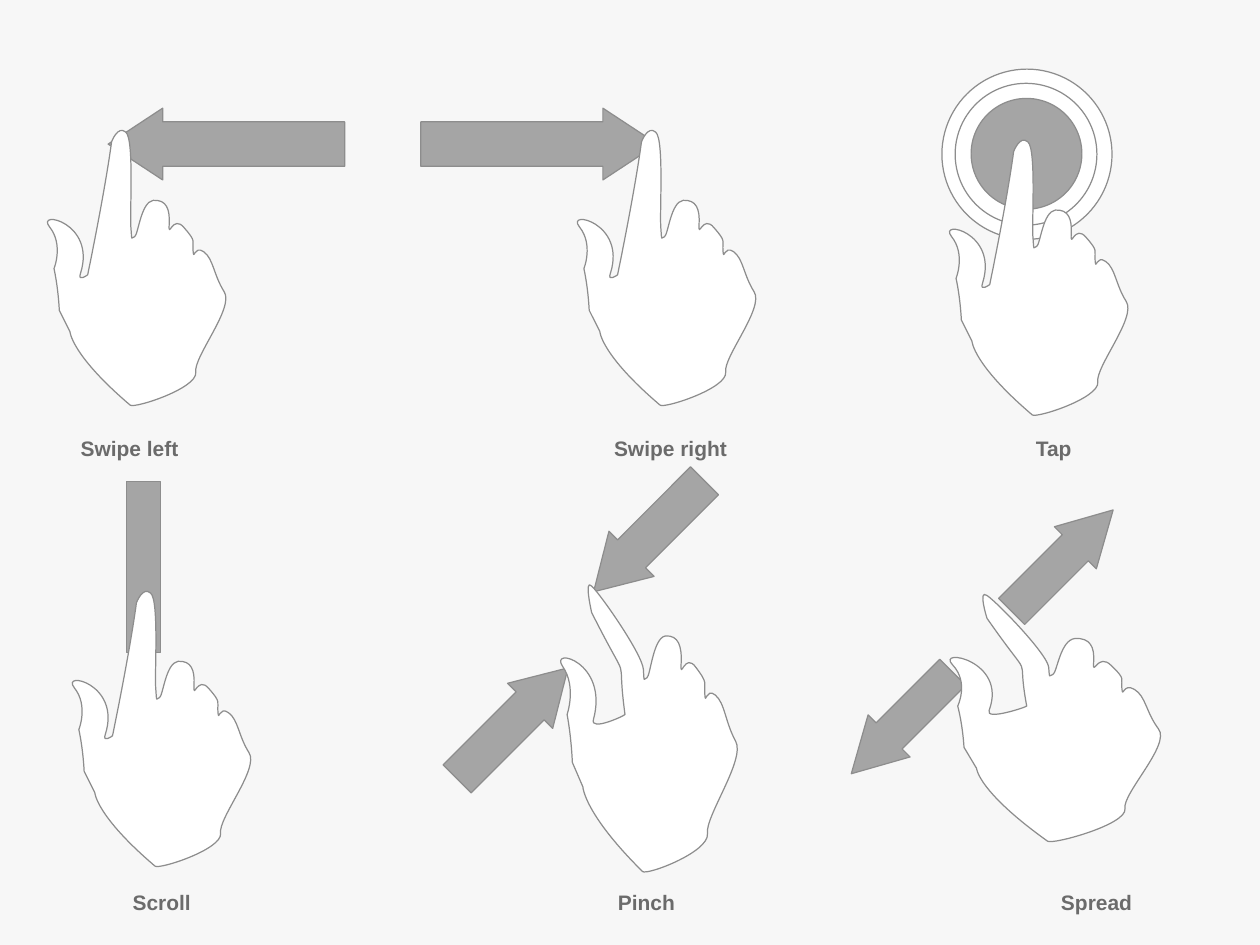
from lxml.etree import Element
from pptx import Presentation
from pptx.dml.color import RGBColor
from pptx.enum.shapes import MSO_SHAPE as Preset
from pptx.enum.text import MSO_ANCHOR as Anchor, PP_ALIGN as Align
from pptx.oxml.ns import qn
from pptx.util import Inches, Pt

BACKGROUND = RGBColor(0xF7, 0xF7, 0xF7)
WHITE = RGBColor(0xFF, 0xFF, 0xFF)
GREY = RGBColor(0xA5, 0xA5, 0xA5)
OUTLINE = RGBColor(0x8D, 0x8D, 0x8D)
LABEL = RGBColor(0x6B, 0x6B, 0x6B)

# Bezier segments (two controls and an end), in inches from the wrist point
THUMB = [
    [(0, 0), (-.01, -.24), (-.06, -.47)],
    [(-.06, -.47), (.05, -.74), (-.11, -.94)],
    [(-.27, -1.14), (.42, -.99), (.24, -.42)],
]
STRAIGHT_FINGER = [
    [(.20, -.31), (.32, -.40), (.32, -.40)],
    [(.32, -.40), (.51, -1.31), (.59, -1.90)],
    [(.59, -1.90), (.66, -2.09), (.75, -2.01)],
    [(.85, -1.93), (.79, -1.06), (.81, -.91)],
]
BENT_FINGER = [
    [(.20, -.30), (.60, -.46), (.60, -.47)],
    [(.49, -1.17), (.70, -.65), (.22, -1.47)],
    [(.22, -1.47), (.13, -1.81), (.22, -1.73)],
    [(.32, -1.65), (.80, -1.06), (.81, -.91)],
]
KNUCKLES_AND_PALM = [
    [(.82, -.77), (.81, -.82), (.85, -.83)],
    [(.89, -.85), (.92, -1.22), (1.06, -1.24)],
    [(1.21, -1.25), (1.25, -1.14), (1.24, -.97)],
    [(1.23, -.79), (1.28, -1.09), (1.41, -.93)],
    [(1.55, -.77), (1.50, -.79), (1.51, -.67)],
    [(1.52, -.55), (1.52, -.74), (1.63, -.66)],
    [(1.74, -.58), (1.74, -.40), (1.86, -.21)],
    [(1.98, -.03), (1.51, .53), (1.54, .70)],
    [(1.56, .88), (.85, 1.11), (.80, 1.07)],
    [(.13, .50), (.12, .24), (.12, .24)],
]


def bend_sides(shape, segments):
    """Turn each straight side of a freeform into its Bezier curve."""
    sides = list(shape.element.iter(qn("a:lnTo")))
    for side, (first, second, _) in zip(sides, segments):
        side.tag = qn("a:cubicBezTo")
        for index, (x, y) in enumerate((first, second)):
            side.insert(index, Element(qn("a:pt"), x=str(x - shape.left),
                                       y=str(y - shape.top)))


class GestureSlide:
    font_style = {"name": "Arial", "size": Pt(17), "bold": True}
    frame_style = {"margin_left": 0, "margin_right": 0, "margin_top": 0,
                   "margin_bottom": 0, "vertical_anchor": Anchor.MIDDLE,
                   "word_wrap": True}

    def __init__(self, presentation):
        self.slide = presentation.slides.add_slide(presentation.slide_layouts[6])
        background = self.slide.background.fill
        background.solid()
        background.fore_color.rgb = BACKGROUND

    def paint(self, shape, color):
        shape.shadow.inherit = False
        shape.fill.solid()
        shape.fill.fore_color.rgb = color
        shape.line.color.rgb = OUTLINE
        shape.line.width = Pt(1)

    def preset(self, kind, box, color=GREY):
        shape = self.slide.shapes.add_shape(kind, *map(Inches, box))
        self.paint(shape, color)
        return shape

    def arrow(self, box, rotation, head):
        shape = self.preset(Preset.RIGHT_ARROW, box)
        shape.rotation = rotation
        shape.adjustments[0] = 0.62
        shape.adjustments[1] = head

    def hand(self, wrist, finger=STRAIGHT_FINGER, stretch=(1, 1)):
        segments = [
            [tuple(Inches(origin + scale * offset) for origin, scale, offset
                   in zip(wrist, stretch, point)) for point in segment]
            for segment in THUMB + finger + KNUCKLES_AND_PALM]
        builder = self.slide.shapes.build_freeform(*map(Inches, wrist))
        builder.add_line_segments([segment[-1] for segment in segments], close=True)
        shape = builder.convert_to_shape()
        bend_sides(shape, segments)
        self.paint(shape, WHITE)

    def label(self, text, left, top, width, align):
        box = self.slide.shapes.add_textbox(
            *map(Inches, (left, top, width, 0.4)))
        for name, value in self.frame_style.items():
            setattr(box.text_frame, name, value)
        paragraph = box.text_frame.paragraphs[0]
        paragraph.alignment = align
        run = paragraph.add_run()
        run.text = text
        for name, value in self.font_style.items():
            setattr(run.font, name, value)
        run.font.color.rgb = LABEL


def main():
    presentation = Presentation()
    presentation.slide_width = Inches(14.22)
    presentation.slide_height = Inches(10.66)
    gestures = GestureSlide(presentation)

    # Tap
    for left, top, size, color in ((10.63, 0.78, 1.92, WHITE),
                                   (10.78, 0.94, 1.6, WHITE),
                                   (10.96, 1.11, 1.25, GREY)):
        gestures.preset(Preset.OVAL, (left, top, size, size), color)
    gestures.hand((10.85, 3.61))

    # Scroll
    gestures.preset(Preset.RECTANGLE, (1.43, 5.43, 0.38, 1.93))
    gestures.hand((0.95, 8.7))

    # Swipe left and right
    for arrow_left, rotation, wrist in ((1.22, 180, 0.67), (4.75, 0, 6.65)):
        gestures.arrow((arrow_left, 1.22, 2.67, 0.81), rotation, 0.76)
        gestures.hand((wrist, 3.5))

    # Pinch
    gestures.arrow((4.9, 7.8, 1.77, 0.72), 315, 0.84)
    gestures.arrow((6.44, 5.69, 1.77, 0.72), 135, 0.84)
    gestures.hand((6.46, 8.6), BENT_FINGER, (0.99, 1.15))

    # Spread
    gestures.arrow((9.37, 7.82, 1.62, 0.67), 135, 0.9)
    gestures.arrow((11.18, 5.99, 1.62, 0.67), 315, 0.9)
    gestures.hand((10.88, 8.43), BENT_FINGER, (1.18, 0.99))

    for text, left, width in (("Swipe left", 0.91, 1.29),
                              ("Swipe right", 6.93, 1.62),
                              ("Tap", 11.69, 0.63)):
        gestures.label(text, left, 4.85, width, Align.LEFT)
    for text, left in (("Scroll", 1.18), ("Pinch", 6.65), ("Spread", 11.73)):
        gestures.label(text, left, 9.98, 1.29, Align.CENTER)

    presentation.save("out.pptx")


if __name__ == "__main__":
    main()
